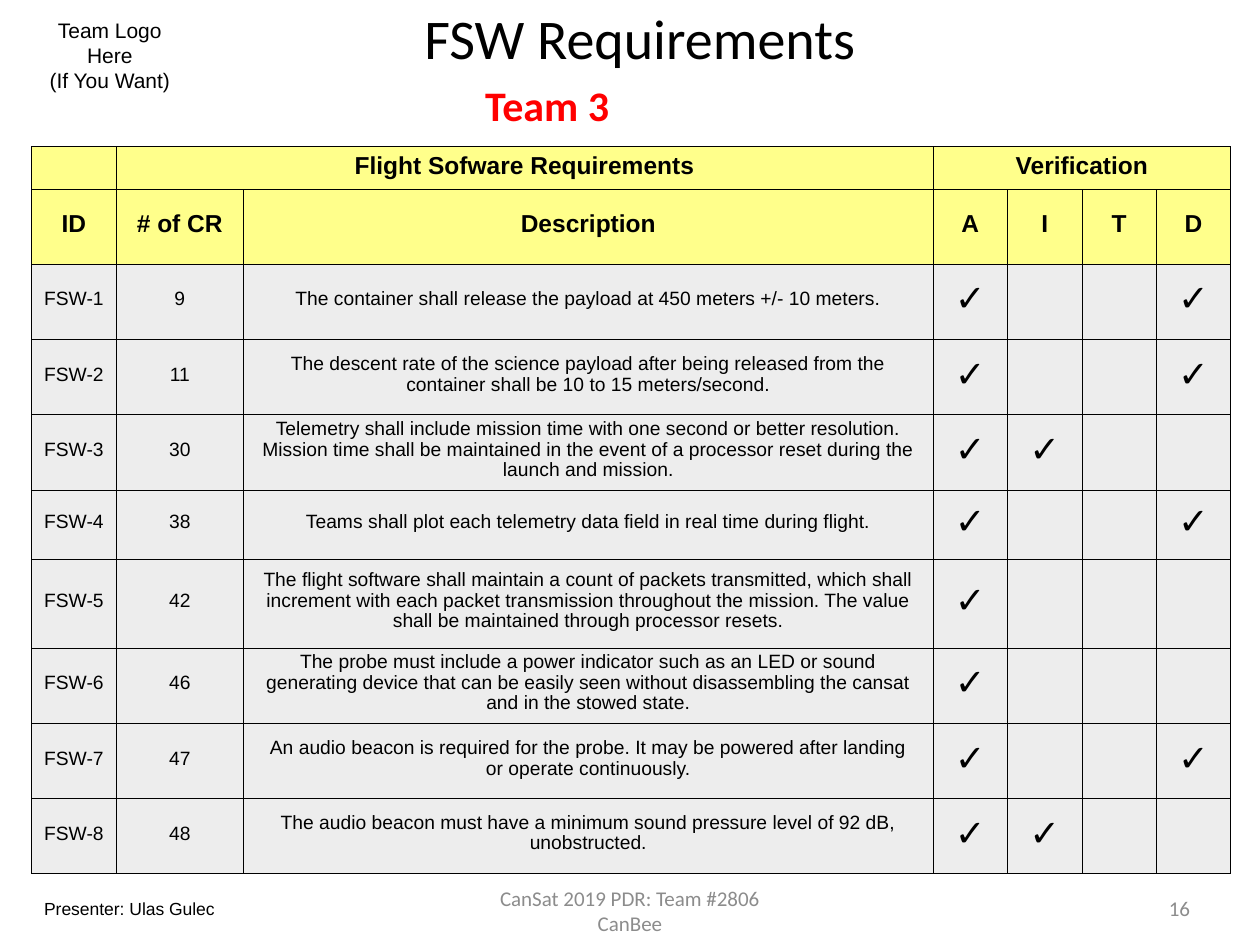
from lxml import etree
from pptx import Presentation
from pptx.dml.color import RGBColor
from pptx.enum.text import MSO_ANCHOR, PP_ALIGN
from pptx.oxml.ns import qn
from pptx.util import Cm, Pt

LEFT, CENTER, RIGHT = PP_ALIGN.LEFT, PP_ALIGN.CENTER, PP_ALIGN.RIGHT
TOP, MIDDLE = MSO_ANCHOR.TOP, MSO_ANCHOR.MIDDLE
BLACK, GREY, RED = "000000", "8C8C8C", "FF0000"
HEADER_FILL, BODY_FILL = "FFFF8B", "EDEDED"
CHECK = "\u2713"


def color(value):
    return RGBColor.from_string(value)


def assign(target, values):
    for name, value in values.items():
        setattr(target, name, value)


class SlideBuilder:
    def __init__(self, page, font="Arial", border=0.5):
        self.page = page
        self.font = font
        self.border = border

    def fill_text(self, frame, text, size, ink=BLACK, bold=False, font=None, align=CENTER, leading=None):
        for index, line in enumerate(text.split("\n")):
            para = frame.add_paragraph() if index else frame.paragraphs[0]
            assign(para, {"alignment": align, "line_spacing": leading})
            span = para.add_run()
            span.text = line
            assign(span.font, {"name": font or self.font, "size": Pt(size), "bold": bold})
            span.font.color.rgb = color(ink)

    def text(self, place, text, size, anchor=TOP, **style):
        box = self.page.shapes.add_textbox(*map(Cm, place))
        assign(box.text_frame, {
            "word_wrap": True, "vertical_anchor": anchor,
            "margin_left": 0, "margin_right": 0, "margin_top": 0, "margin_bottom": 0,
        })
        self.fill_text(box.text_frame, text, size, **style)

    def table(self, left, top, widths, heights):
        frame = self.page.shapes.add_table(
            len(heights), len(widths), Cm(left), Cm(top), Cm(sum(widths)), Cm(sum(heights)))
        grid = frame.table
        assign(grid, {"first_row": False, "horz_banding": False})
        for column, width in zip(grid.columns, widths):
            column.width = Cm(width)
        for row, height in zip(grid.rows, heights):
            row.height = Cm(height)
        return grid

    def cell(self, cell, fill, text="", size=11, side=0, **style):
        assign(cell, {
            "margin_left": Cm(side), "margin_right": Cm(side),
            "margin_top": 0, "margin_bottom": Cm(0.1), "vertical_anchor": MIDDLE,
        })
        if text:
            self.fill_text(cell.text_frame, text, size, **style)
        properties = cell._tc.get_or_add_tcPr()
        for edge in ("a:lnL", "a:lnR", "a:lnT", "a:lnB"):
            line = etree.SubElement(properties, qn(edge), w=str(int(Pt(self.border))))
            paint = etree.SubElement(line, qn("a:solidFill"))
            etree.SubElement(paint, qn("a:srgbClr"), val=BLACK)
        cell.fill.solid()
        cell.fill.fore_color.rgb = color(fill)


HEADINGS = [
    ["", "Flight Sofware Requirements", "", "Verification", "", "", ""],
    ["ID", "# of CR", "Description", "A", "I", "T", "D"],
]
REQUIREMENTS = [
    (9, "The container shall release the payload at 450 meters +/- 10 meters.", "AD"),
    (11, "The descent rate of the science payload after being released from the\n"
         "container shall be 10 to 15 meters/second.", "AD"),
    (30, "Telemetry shall include mission time with one second or better resolution. "
         "Mission time shall be maintained in the event of a processor reset during the "
         "launch and mission.", "AI"),
    (38, "Teams shall plot each telemetry data field in real time during flight.", "AD"),
    (42, "The flight software shall maintain a count of packets transmitted, which shall "
         "increment with each packet transmission throughout the mission. The value "
         "shall be maintained through processor resets.", "A"),
    (46, "The probe must include a power indicator such as an LED or sound "
         "generating device that can be easily seen without disassembling the cansat "
         "and in the stowed state.", "A"),
    (47, "An audio beacon is required for the probe. It may be powered after landing\n"
         "or operate continuously.", "AD"),
    (48, "The audio beacon must have a minimum sound pressure level of 92 dB, "
         "unobstructed.", "AI"),
]

deck = Presentation()
assign(deck, {"slide_width": Cm(25.4), "slide_height": Cm(19.05)})
builder = SlideBuilder(deck.slides.add_slide(deck.slide_layouts[6]))

builder.text((0.96, 0.36, 2.51, 1.5), "Team Logo\nHere\n(If You Want)", 12, leading=Pt(14.3))
builder.text((4.65, 0.05, 16.5, 1.4), "FSW Requirements", 32, anchor=MIDDLE, font="Calibri")
builder.text((9.78, 1.6, 4.57, 1.1), "Team 3", 24, ink=RED, bold=True, font="Calibri", align=LEFT)

grid = builder.table(0.64, 2.96, [1.7, 2.57, 13.9] + [1.5] * 4,
                     [0.82, 1.5, 1.52, 1.52, 1.52, 1.39, 1.79, 1.52, 1.52, 1.5])
for first, last in ((1, 2), (3, 6)):
    grid.cell(0, first).merge(grid.cell(0, last))
for row, labels in enumerate(HEADINGS):
    for column, label in enumerate(labels):
        builder.cell(grid.cell(row, column), HEADER_FILL, label, 14, bold=True)
for number, (source, description, methods) in enumerate(REQUIREMENTS, 1):
    row = number + 1
    for column, label in enumerate((f"FSW-{number}", str(source))):
        builder.cell(grid.cell(row, column), BODY_FILL, label)
    builder.cell(grid.cell(row, 2), BODY_FILL, description, side=0.33, leading=0.96)
    for column, method in enumerate("AITD", 3):
        builder.cell(grid.cell(row, column), BODY_FILL, CHECK if method in methods else "", 21)

builder.text((0.89, 18.1, 4.5, 0.46), "Presenter: Ulas Gulec", 10, align=LEFT)
builder.text((9.7, 17.8, 6, 1.1), "CanSat 2019 PDR: Team #2806 CanBee", 12,
             anchor=MIDDLE, ink=GREY, font="Calibri")
builder.text((23.19, 18.06, 0.8, 0.5), "16", 12, anchor=MIDDLE, ink=GREY, font="Calibri", align=RIGHT)

deck.save("out.pptx")
